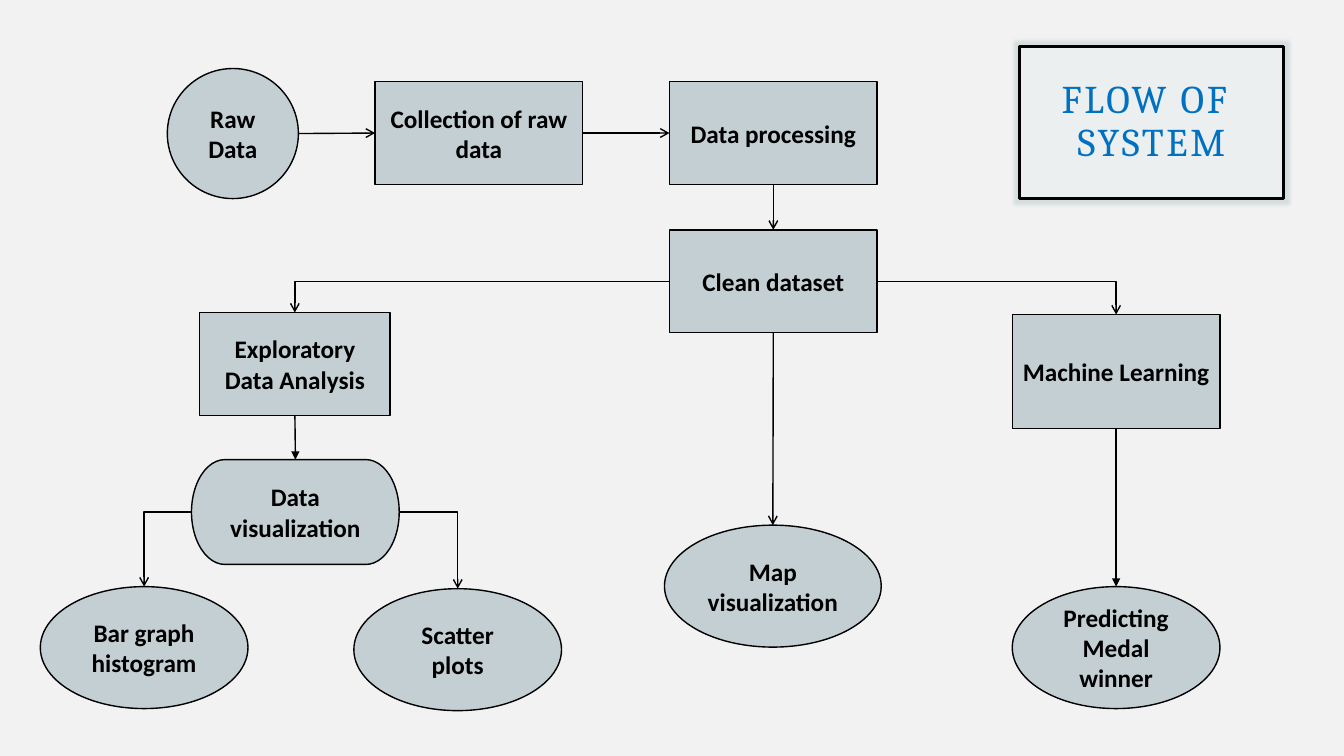
from dataclasses import dataclass

import pptx
import pptx.dml.color
import pptx.enum.dml
import pptx.enum.shapes
import pptx.enum.text
import pptx.oxml
import pptx.oxml.ns
import pptx.util
from pptx.util import Inches

KIND = pptx.enum.shapes.MSO_SHAPE
WIRE = pptx.enum.shapes.MSO_CONNECTOR
TOP, LEFT, BASE, RIGHT = range(4)


@dataclass(frozen=True)
class Theme:
    back: str = "F2F2F2"
    node: str = "C3CFD3"
    panel: str = "EBEFF0"
    ink: str = "000000"
    head: str = "0070C0"
    serif: str = "Cambria"
    sans: str = "Calibri"
    large: float = 28
    small: float = 18
    thin: float = 1
    thick: float = 2.25


LOOK = Theme()


def tint(code):
    return pptx.dml.color.RGBColor.from_string(code)


def add_xml(parent, tag, inner="", **attrs):
    pairs = " ".join(f'{key}="{value}"' for key, value in attrs.items())
    space = pptx.oxml.ns.nsdecls("a")
    item = pptx.oxml.parse_xml(f"<a:{tag} {space} {pairs}>{inner}</a:{tag}>")
    parent.append(item)


def paint(shape, fill, width):
    shape.fill.solid()
    shape.fill.fore_color.rgb = tint(fill)
    shape.line.color.rgb = tint(LOOK.ink)
    shape.line.width = pptx.util.Pt(width)


def write(shape, text, font=LOOK.sans, size=LOOK.small, color=LOOK.ink,
          bold=True, inset=None, lead=None, track=None):
    frame = shape.text_frame
    frame.text = text
    frame.word_wrap = True
    frame.auto_size = pptx.enum.text.MSO_AUTO_SIZE.NONE
    frame.vertical_anchor = pptx.enum.text.MSO_ANCHOR.MIDDLE
    if inset is not None:
        frame.margin_left = frame.margin_right = Inches(inset)
        frame.margin_top = frame.margin_bottom = Inches(inset)
    for para in frame.paragraphs:
        para.alignment = pptx.enum.text.PP_ALIGN.CENTER
        if lead:
            para.line_spacing = lead
        for run in para.runs:
            run.font.name = font
            run.font.size = pptx.util.Pt(size)
            run.font.bold = bold
            run.font.color.rgb = tint(color)
            if track:
                run.font._element.set("spc", str(track * 100))


def add_node(slide, text, kind, left, top, width=2.06, height=1.02):
    box = map(Inches, (left, top, width, height))
    node = slide.shapes.add_shape(kind, *box)
    node.shadow.inherit = False
    paint(node, LOOK.node, LOOK.thin)
    write(node, text)
    return node


def get_spot(node, side):
    mid = node.left + node.width // 2, node.top + node.height // 2
    return {
        TOP: (mid[0], node.top),
        LEFT: (node.left, mid[1]),
        BASE: (mid[0], node.top + node.height),
        RIGHT: (node.left + node.width, mid[1]),
    }[side]


def link(slide, first, start, last, end, head="arrow", bent=False):
    wire = slide.shapes.add_connector(
        WIRE.ELBOW if bent else WIRE.STRAIGHT,
        *get_spot(first, start), *get_spot(last, end))
    if first.auto_shape_type != KIND.OVAL:
        wire.begin_connect(first, start)
    wire.end_connect(last, end)
    wire.line.color.rgb = tint(LOOK.ink)
    wire.line.width = pptx.util.Pt(LOOK.thin)
    props = wire._element.spPr
    if bent:
        props.find(pptx.oxml.ns.qn("a:prstGeom")).set("prst", "bentConnector2")
    add_xml(wire.line._get_or_add_ln(), "tailEnd", type=head)
    add_xml(props, "effectLst")


def add_title(slide):
    title = slide.shapes.title
    title.left, title.top = Inches(10.11), Inches(0.46)
    title.width, title.height = Inches(2.62), Inches(1.51)
    paint(title, LOOK.panel, LOOK.thick)
    glow = (f'<a:glow rad="{Inches(0.07)}"><a:srgbClr val="{LOOK.node}">'
            '<a:alpha val="60000"/></a:srgbClr></a:glow>')
    add_xml(title._element.spPr, "effectLst", glow)
    write(title, "FLOW OF \vSYSTEM", font=LOOK.serif, size=LOOK.large,
          color=LOOK.head, bold=False, inset=0.2, lead=0.9, track=2)


def main():
    deck = pptx.Presentation()
    deck.slide_width, deck.slide_height = Inches(13.33), Inches(7.5)
    slide = deck.slides.add_slide(deck.slide_layouts[5])
    slide.background.fill.solid()
    slide.background.fill.fore_color.rgb = tint(LOOK.back)
    add_title(slide)

    box, oval = KIND.RECTANGLE, KIND.OVAL
    raw = add_node(slide, "Raw Data", oval, 1.66, 0.68, 1.3, 1.29)
    gather = add_node(slide, "Collection of raw data", box, 3.72, 0.81)
    process = add_node(slide, "Data processing", box, 6.64, 0.81)
    clean = add_node(slide, "Clean dataset", box, 6.64, 2.28)
    explore = add_node(slide, "Exploratory Data Analysis", box,
                       1.98, 3.1, 1.89)
    visual = add_node(slide, "Data visualization", KIND.FLOWCHART_TERMINATOR,
                      1.9, 4.56, height=1.04)
    bars = add_node(slide, "Bar graph\nhistogram", oval, 0.4, 5.82, height=1.21)
    plots = add_node(slide, "Scatter plots", oval, 3.51, 5.84, height=1.21)
    chart = add_node(slide, "Map visualization", oval, 6.59, 5.21, 2.15, 1.21)
    learn = add_node(slide, "Machine Learning", box, 10.04, 3.12, height=1.13)
    winner = add_node(slide, "Predicting Medal winner", oval,
                      10.04, 5.82, height=1.21)

    link(slide, raw, RIGHT, gather, LEFT)
    link(slide, gather, RIGHT, process, LEFT)
    link(slide, process, BASE, clean, TOP)
    link(slide, clean, BASE, chart, TOP)
    link(slide, explore, BASE, visual, TOP, head="triangle")
    link(slide, learn, BASE, winner, TOP, head="triangle")
    link(slide, clean, LEFT, explore, TOP, bent=True)
    link(slide, clean, RIGHT, learn, TOP, bent=True)
    link(slide, visual, LEFT, bars, TOP, bent=True)
    link(slide, visual, RIGHT, plots, TOP, bent=True)
    deck.save("out.pptx")


if __name__ == "__main__":
    main()
